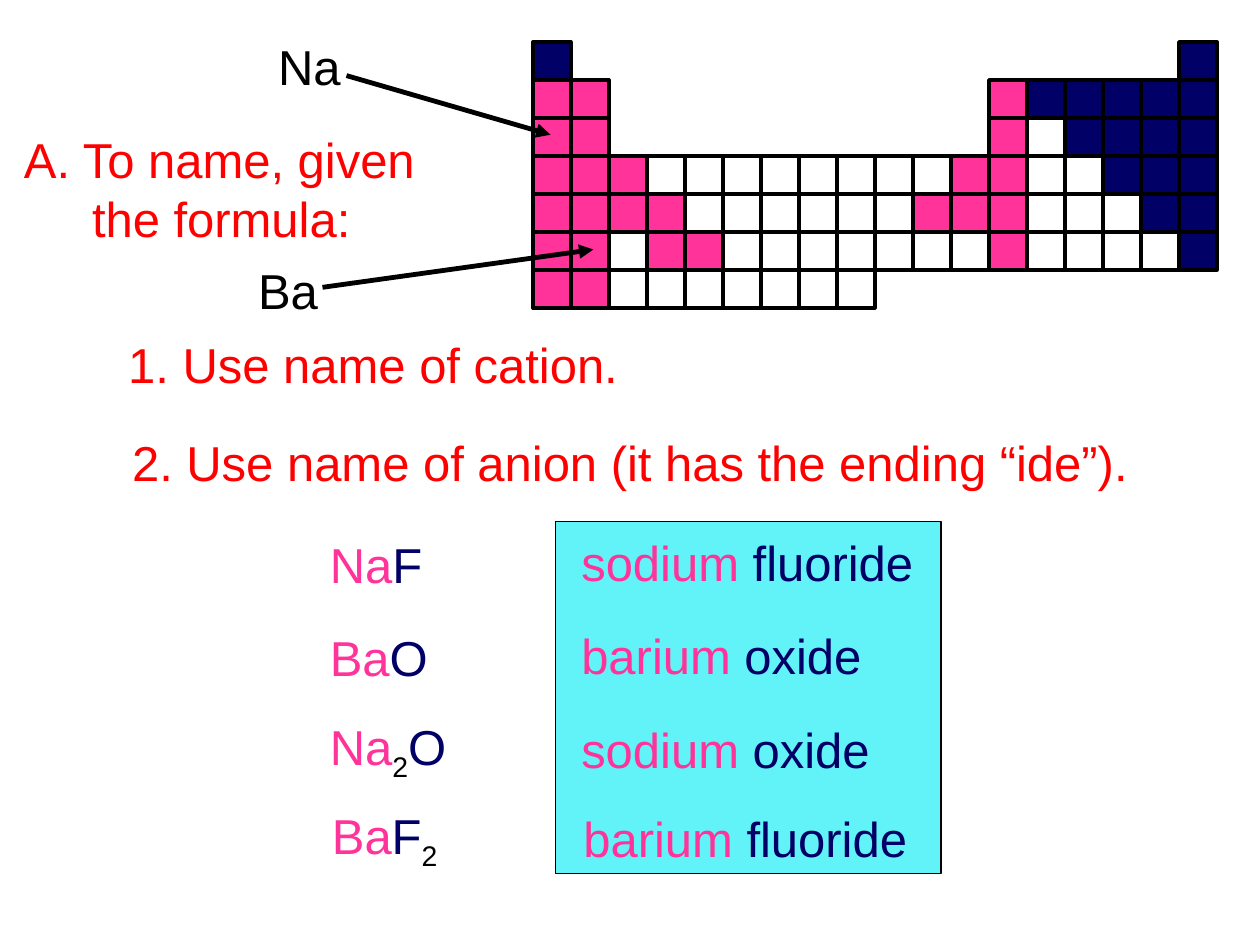
from dataclasses import dataclass

from pptx import Presentation
from pptx.dml.color import RGBColor as RGB
from pptx.enum.shapes import MSO_CONNECTOR as CONNECTOR, MSO_SHAPE as SHAPE
from pptx.enum.text import MSO_ANCHOR as ANCHOR, MSO_AUTO_SIZE as FIT, PP_ALIGN as ALIGN
from pptx.oxml.ns import qn
from pptx.util import Pt
from lxml.etree import SubElement


@dataclass(frozen=True)
class Theme:
    font: str = "Arial"
    size: float = 28
    black: RGB = RGB(0x00, 0x00, 0x00)
    heading: RGB = RGB(0xFF, 0x00, 0x00)
    metal: RGB = RGB(0xFF, 0x33, 0x99)
    nonmetal: RGB = RGB(0x00, 0x00, 0x66)
    panel: RGB = RGB(0x61, 0xF3, 0xF7)
    cell_line: float = 2
    panel_line: float = 0.75
    arrow_line: float = 2.75


THEME = Theme()

# M metal, N nonmetal, o uncoloured element, space no element
PERIODS = [
    "N                N",
    "MM          MNNNNN",
    "MM          MoNNNN",
    "MMMooooooooMMooNNN",
    "MMMMooooooMMMoooNN",
    "MMoMMoooooooMooooN",
    "MMooooooo",
]
CELL_FILLS = {"M": THEME.metal, "N": THEME.nonmetal, "o": None}

# top, shift right, formula runs, formula width, name runs, name width
METAL, NONMETAL, SUB = "metal", "nonmetal", "sub"
COMPOUNDS = [
    (301.5, 0, [("Na", METAL), ("F", NONMETAL)], 75.6,
     [("sodium ", METAL), ("fluoride", NONMETAL)], 210.2),
    (354.7, 0, [("Ba", METAL), ("O", NONMETAL)], 78.5,
     [("barium ", METAL), ("oxide", NONMETAL)], 218.9),
    (408, 0, [("Na", METAL), ("2", SUB), ("O", NONMETAL)], 90.7,
     [("sodium", METAL), (" oxide", NONMETAL)], 182.2),
    (459, 1.2, [("Ba", METAL), ("F", NONMETAL), ("2", SUB)], 84.2,
     [("barium", METAL), (" fluoride", NONMETAL)], 203.8),
]
RUN_COLORS = {METAL: THEME.metal, NONMETAL: THEME.nonmetal, SUB: THEME.black,
              "heading": THEME.heading, "label": THEME.black}


def place(sp, box):
    sp.left, sp.top, sp.width, sp.height = (Pt(v) for v in box)


def write_text(tf, paragraphs, align=ALIGN.LEFT, anchor=ANCHOR.MIDDLE, indents=()):
    """Write paragraphs, each a list of (text, role) runs."""
    tf.word_wrap = True
    tf.auto_size = FIT.SHAPE_TO_FIT_TEXT
    tf.vertical_anchor = anchor
    for i, runs in enumerate(paragraphs):
        p = tf.paragraphs[0] if i == 0 else tf.add_paragraph()
        p.alignment = align
        if i < len(indents):
            p._p.get_or_add_pPr().set("marL", str(Pt(indents[i])))
        for text, role in runs:
            r = p.add_run()
            r.text = text
            r.font.name = THEME.font
            r.font.size = Pt(THEME.size)
            r.font.color.rgb = RUN_COLORS[role]
            if role == SUB:
                r._r.get_or_add_rPr().set("baseline", "-25000")


def add_text(shapes, box, runs, **fmt):
    sp = shapes.add_textbox(*(Pt(v) for v in box))
    write_text(sp.text_frame, [runs], **fmt)


def add_rect(shapes, box, fill, line_width):
    sp = shapes.add_shape(SHAPE.RECTANGLE, *(Pt(v) for v in box))
    sp.shadow.inherit = False
    if fill is None:
        sp.fill.background()
    else:
        sp.fill.solid()
        sp.fill.fore_color.rgb = fill
    sp.line.color.rgb = THEME.black
    sp.line.width = Pt(line_width)


def add_arrow(shapes, start, end):
    line = shapes.add_connector(CONNECTOR.STRAIGHT, *(Pt(v) for v in start + end))
    line.line.color.rgb = THEME.black
    line.line.width = Pt(THEME.arrow_line)
    SubElement(line.line._get_or_add_ln(), qn("a:tailEnd"), type="triangle")
    SubElement(line._element.spPr, qn("a:effectLst"))


def add_title(slide, box):
    title = slide.shapes.title
    place(title, box)
    write_text(title.text_frame,
               [[("A. To name, given", "heading")], [("the formula:", "heading")]],
               indents=(0, 38.9))


def add_periodic_table(slide, box):
    left, top, width, height = box
    w, h = width / 18, height / len(PERIODS)
    group = slide.shapes.add_group_shape()
    for row, period in enumerate(PERIODS):
        for col, kind in enumerate(period):
            if kind != " ":
                add_rect(group.shapes, (left + col * w, top + row * h, w, h),
                         CELL_FILLS[kind], THEME.cell_line)


def add_element_label(slide, box, symbol, start, end):
    group = slide.shapes.add_group_shape()
    add_arrow(group.shapes, start, end)
    add_text(group.shapes, box, [(symbol, "label")], align=ALIGN.CENTER, anchor=ANCHOR.TOP)


def add_compounds(slide, box):
    """Formulas to the left of the panel, names on it."""
    left = box[0]
    add_rect(slide.shapes, box, THEME.panel, THEME.panel_line)
    for top, shift, formula, formula_w, name, name_w in COMPOUNDS:
        add_text(slide.shapes, (left - 136.1 + shift, top, formula_w, 41), formula)
        add_text(slide.shapes, (left + 7.6 + shift, top - 0.7, name_w, 41), name)


def main():
    prs = Presentation()
    prs.slide_width, prs.slide_height = Pt(720), Pt(540)
    slide = prs.slides.add_slide(prs.slide_layouts[5])
    add_title(slide, (6.5, 70.6, 274.3, 74.2))
    add_text(slide.shapes, (66.2, 187.2, 298, 41), [("1. Use name of cation.", "heading")])
    add_text(slide.shapes, (68.4, 243.4, 607, 41),
             [("2. Use name of anion (it has the ending “ide”).", "heading")])
    add_compounds(slide, (317.5, 298.1, 220.3, 200.9))
    add_periodic_table(slide, (304.5, 24, 390.96, 152.04))
    add_element_label(slide, (149.8, 17.3, 54, 41), "Na", (198, 43.2), (314.6, 77))
    add_element_label(slide, (137.5, 145.4, 54, 41), "Ba", (184.3, 164.2), (339.1, 142.6))
    prs.save("out.pptx")


if __name__ == "__main__":
    main()
